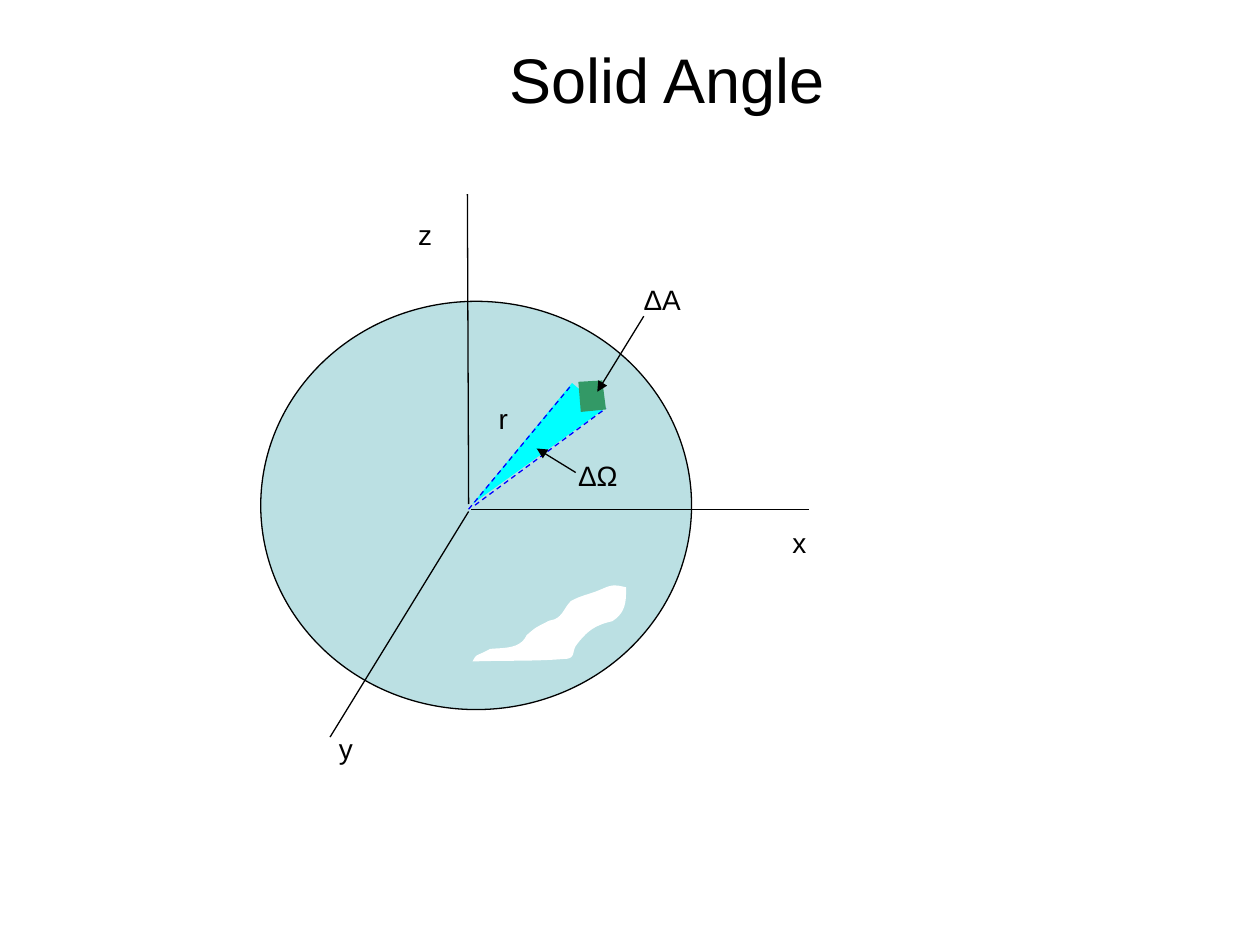
from lxml import etree
from pptx import Presentation
from pptx.dml.color import RGBColor
from pptx.enum import dml, shapes, text
from pptx.oxml.ns import qn
from pptx.util import Pt

BLACK = RGBColor(0x00, 0x00, 0x00)
WHITE = RGBColor(0xFF, 0xFF, 0xFF)
PALE_TEAL = RGBColor(0xBB, 0xE0, 0xE3)
CYAN = RGBColor(0x00, 0xFF, 0xFF)
BLUE = RGBColor(0x00, 0x00, 0xFF)
GREEN = RGBColor(0x33, 0x99, 0x66)
FONT = "Arial"

WEDGE = [(121, 177), (177.9, 107.9), (195.9, 123)]
AREA_PATCH = [(181.5, 107.2), (195.2, 106.4), (197.3, 123), (182.9, 124.4)]
HIGHLIGHT_START = (0, 44.6)
HIGHLIGHT_CURVES = [
    ((17.3, 43.9), (34.6, 44.6), (51.8, 43.2)),
    ((59.8, 43.2), (56.2, 38.9), (59.8, 34.6)),
    ((65.5, 27.4), (69.8, 23.8), (79.9, 21.6)),
    ((87.8, 16.6), (87.8, 10.1), (87.8, 2.2)),
    ((79.2, 0), (78.5, 1.4), (71.3, 4.3)),
    ((65.5, 6.5), (61.2, 7.2), (56.2, 10.1)),
    ((52.6, 13.7), (51.8, 18), (47.5, 20.2)),
    ((46.1, 20.9), (44.6, 20.9), (43.2, 21.6)),
    ((36, 25.2), (36, 25.2), (31, 29.5)),
    ((27.4, 37.4), (18.7, 36.7), (10.1, 37.4)),
    ((0.7, 42.5), (2.9, 39.6), HIGHLIGHT_START),
]
AXES = [
    ((118.1, 0), (118.8, 177)),
    ((120.3, 180), (313.2, 180)),
    ((118.8, 181.3), (39.6, 310.2)),
]
CONE_EDGES = [
    ((118.8, 180), (177.9, 108.6)),
    ((122.4, 177.7), (197.3, 122.3)),
]
POINTERS = [
    ((218.9, 69.7), (192.3, 112.9)),
    ((180, 159), (157.7, 145.3)),
]
LABELS = [
    ("z", 82.8, 10, 22.3),
    ("x", 296.7, 185.6, 22.3),
    ("y", 37.5, 303.7, 22.3),
    ("ΔA", 211.7, 46.7, 38.9),
    ("ΔΩ", 174.3, 147.5, 38.9),
    ("r", 128.9, 115.1, 20.2),
]


def format_runs(paragraph, size):
    for run in paragraph.runs:
        run.font.name = FONT
        run.font.size = Pt(size)
        run.font.color.rgb = BLACK


def curve_points(start, curves, steps=10):
    points = [start]
    for first, second, end in curves:
        begin = points[-1]
        for step in range(1, steps + 1):
            t = step / steps
            weights = ((1 - t) ** 3, 3 * t * (1 - t) ** 2, 3 * t * t * (1 - t), t ** 3)
            corners = (begin, first, second, end)
            points.append(tuple(
                sum(weight * corner[axis] for weight, corner in zip(weights, corners))
                for axis in (0, 1)))
    return points


def add_outline(group, left, top, points, color):
    corners = [(Pt(left + x), Pt(top + y)) for x, y in points]
    builder = group.shapes.build_freeform(*corners[0])
    builder.add_line_segments(corners[1:], close=True)
    shape = builder.convert_to_shape()
    shape.shadow.inherit = False
    shape.fill.solid()
    shape.fill.fore_color.rgb = color
    shape.line.fill.background()


def add_line(group, left, top, ends, color=BLACK, dashed=False, arrow=False):
    (x1, y1), (x2, y2) = ends
    connector = group.shapes.add_connector(
        shapes.MSO_CONNECTOR.STRAIGHT,
        Pt(left + x1), Pt(top + y1), Pt(left + x2), Pt(top + y2))
    connector.line.color.rgb = color
    connector.line.width = Pt(0.75)
    if dashed:
        connector.line.dash_style = dml.MSO_LINE.DASH
    properties = connector.element.spPr
    if arrow:
        etree.SubElement(properties.find(qn("a:ln")), qn("a:tailEnd"), type="triangle")
    etree.SubElement(properties, qn("a:effectLst"))


def add_label(group, left, top, width, wording):
    box = group.shapes.add_textbox(Pt(left), Pt(top), Pt(width), Pt(26.6))
    box.text_frame.word_wrap = len(wording) > 1
    box.text_frame.text = wording
    format_runs(box.text_frame.paragraphs[0], 16)


def add_sphere(group, left, top, width, height):
    sphere = group.shapes.add_shape(
        shapes.MSO_SHAPE.OVAL, Pt(left), Pt(top), Pt(width), Pt(height))
    sphere.shadow.inherit = False
    sphere.fill.solid()
    sphere.fill.fore_color.rgb = PALE_TEAL
    sphere.line.color.rgb = BLACK
    sphere.line.width = Pt(0.75)


def add_title(slide, left, top, width, height):
    title = slide.shapes.title
    title.left, title.top = Pt(left), Pt(top)
    title.width, title.height = Pt(width), Pt(height)
    title.text_frame.text = "Solid Angle"
    title.text_frame.vertical_anchor = text.MSO_ANCHOR.MIDDLE
    paragraph = title.text_frame.paragraphs[0]
    paragraph.alignment = text.PP_ALIGN.CENTER
    format_runs(paragraph, 36)


def add_solid_angle_diagram(slide, left, top):
    group = slide.shapes.add_group_shape()
    add_sphere(group, left, top + 61.2, 246.2, 233.3)
    for axis in AXES:
        add_line(group, left, top, axis)
    highlight = curve_points(HIGHLIGHT_START, HIGHLIGHT_CURVES)
    add_outline(group, left + 121, top + 222.4, highlight, WHITE)
    add_outline(group, left, top, WEDGE, CYAN)
    for edge in CONE_EDGES:
        add_line(group, left, top, edge, BLUE, dashed=True)
    add_outline(group, left, top, AREA_PATCH, GREEN)
    for pointer in POINTERS:
        add_line(group, left, top, pointer, arrow=True)
    for wording, x, y, width in LABELS:
        add_label(group, left + x, top + y, width, wording)


def main():
    presentation = Presentation()
    presentation.slide_width, presentation.slide_height = Pt(720), Pt(540)
    slide = presentation.slides.add_slide(presentation.slide_layouts[5])
    add_title(slide, 126, 0, 510, 90)
    add_solid_angle_diagram(slide, 149, 111)
    presentation.save("out.pptx")


if __name__ == "__main__":
    main()
